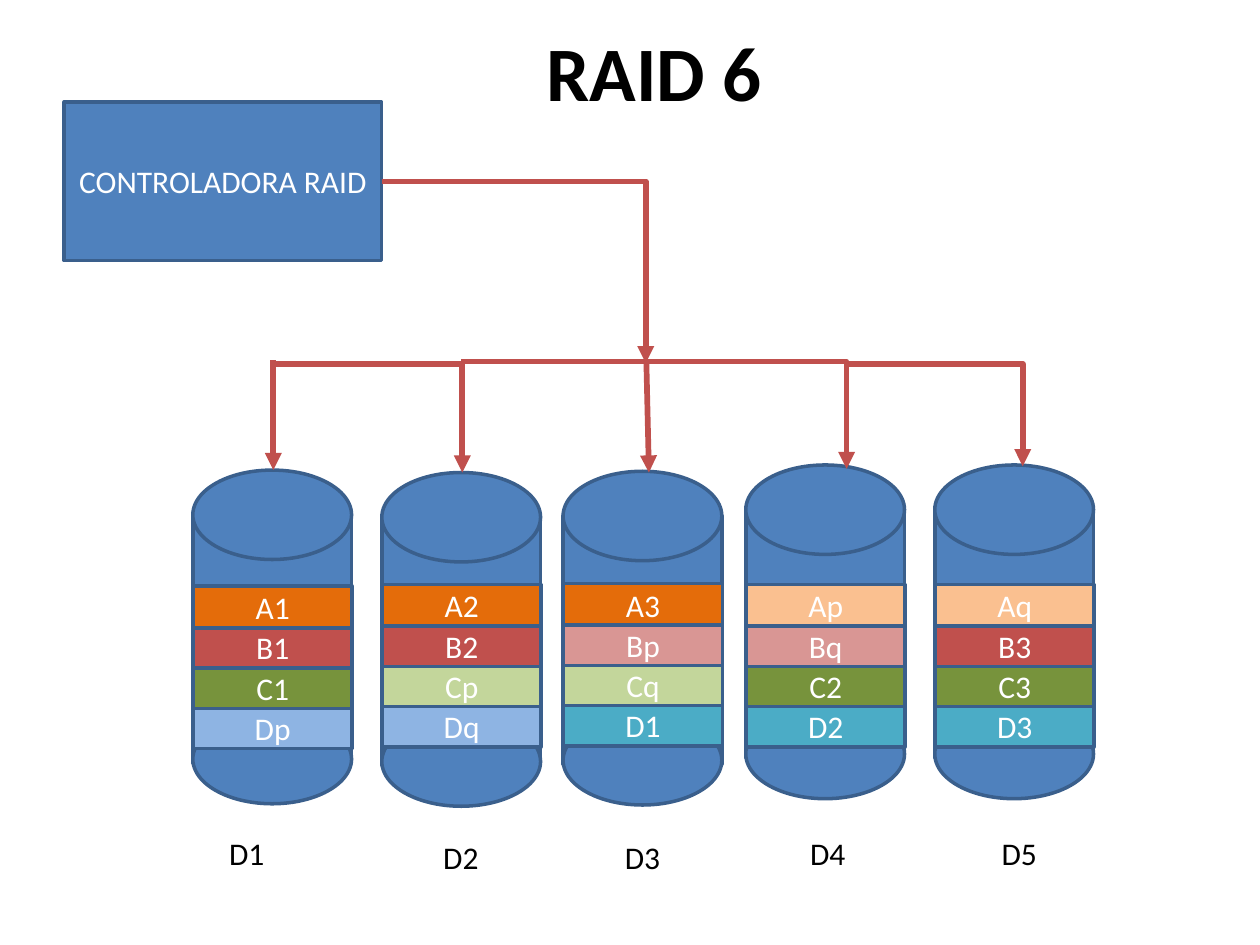
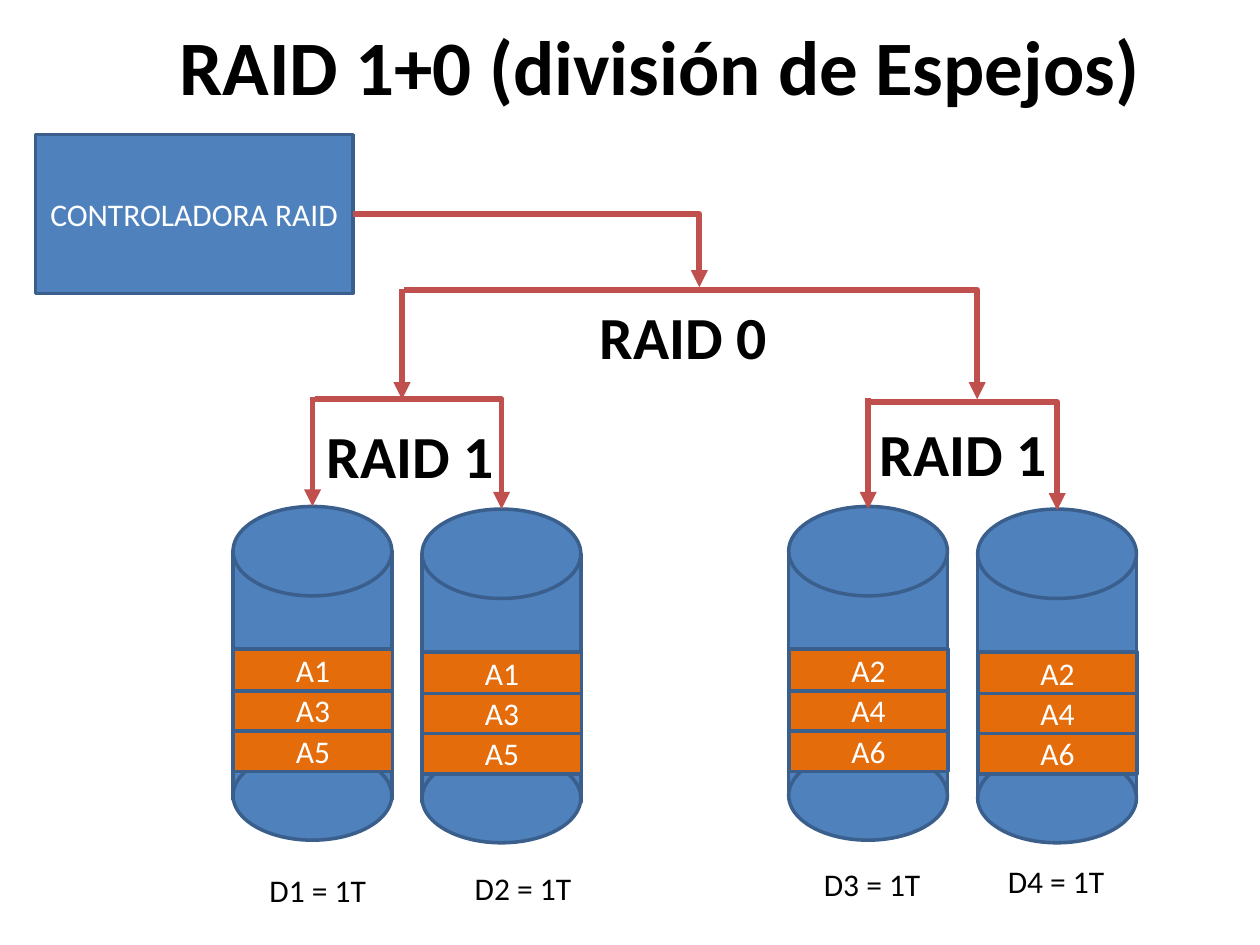
from dataclasses import dataclass
from typing import Any, NamedTuple

from lxml import etree
from pptx import Presentation
from pptx.dml.color import RGBColor
from pptx.enum.shapes import MSO_CONNECTOR, MSO_SHAPE
from pptx.enum.text import MSO_ANCHOR, MSO_AUTO_SIZE, PP_ALIGN
from pptx.oxml.ns import qn
from pptx.util import Pt

RECT, OVAL = MSO_SHAPE.RECTANGLE, MSO_SHAPE.OVAL
LINE, ELBOW = MSO_CONNECTOR.STRAIGHT, MSO_CONNECTOR.ELBOW
MIDDLE, TOP = MSO_ANCHOR.MIDDLE, MSO_ANCHOR.TOP
CENTER, LEFT = PP_ALIGN.CENTER, PP_ALIGN.LEFT
FIT = MSO_AUTO_SIZE.SHAPE_TO_FIT_TEXT
RIGHT_SIDE = 3


# Theme: colours, type and line sizes
@dataclass(frozen=True)
class Theme:
    font: str = "Calibri"
    ink: str = "000000"
    white: str = "FFFFFF"
    blue: str = "4F81BD"
    edge: str = "3A5F8C"
    wire: str = "C0504D"
    title: float = 44
    head: float = 34.1
    text: float = 18
    rim: float = 2
    cable: float = 3.25


THEME = Theme()

# Data and parity colour of each stripe letter
DATA = {"A": "E46C0A", "B": "C0504D", "C": "77933C", "D": "4BACC6"}
PARITY = {"A": "FAC090", "B": "D99694", "C": "C3D69B", "D": "8EB4E3"}

# Disk and stripe sizes
WIDTH, BODY, CAP, DROP = 90.7, 141.8, 51.1, 139.6
BAND, PITCH = 23.8, 23


class Box(NamedTuple):
    left: float
    top: float
    width: float
    height: float


class Label(NamedTuple):
    text: str
    box: Box


class Disk(NamedTuple):
    left: float
    top: float
    first: float  # top of the first stripe
    bands: str
    name: Label


class Wire(NamedTuple):
    x1: float
    y1: float
    x2: float
    y2: float
    kind: Any = ELBOW


class Page(NamedTuple):
    title: Label
    control: Box
    feed: Wire
    disks: list[Disk]
    wires: list[Wire]
    heads: list[Label]


# Drawing helpers
def apply(item: Any, form: dict[str, Any]) -> None:
    for key, value in form.items():
        setattr(item, key, value)


def place(box: Box) -> list[Pt]:
    return [Pt(n) for n in box]


def write(shape: Any, text: str, size: float, color: str, bold: bool = False,
          align: Any = CENTER, anchor: Any = MIDDLE, wrap: bool = True) -> None:
    frame = shape.text_frame
    apply(frame, {"text": text, "word_wrap": wrap, "vertical_anchor": anchor})
    para = frame.paragraphs[0]
    para.alignment = align
    font = para.runs[0].font
    apply(font, {"name": THEME.font, "size": Pt(size), "bold": bold})
    font.color.rgb = RGBColor.from_string(color)


def block(shapes: Any, kind: Any, box: Box, fill: str, text: str = "") -> Any:
    shape = shapes.add_shape(kind, *place(box))
    shape.shadow.inherit = False
    shape.fill.solid()
    shape.fill.fore_color.rgb = RGBColor.from_string(fill)
    shape.line.color.rgb = RGBColor.from_string(THEME.edge)
    shape.line.width = Pt(THEME.rim)
    if text:
        write(shape, text, THEME.text, THEME.white)
    return shape


def link(shapes: Any, wire: Wire) -> Any:
    ends = [Pt(n) for n in wire[:4]]
    line = shapes.add_connector(wire.kind, *ends)
    line.line.color.rgb = RGBColor.from_string(THEME.wire)
    line.line.width = Pt(THEME.cable)
    props = line._element.spPr
    if wire.kind == ELBOW:  # one bend: across, then down
        props.find(qn("a:prstGeom")).set("prst", "bentConnector2")
    etree.SubElement(props.find(qn("a:ln")), qn("a:tailEnd"), type="triangle")
    etree.SubElement(props, qn("a:effectLst"))
    return line


def draw_disk(shapes: Any, disk: Disk) -> None:
    group = shapes.add_group_shape().shapes
    x, y = disk.left, disk.top
    block(group, RECT, Box(x, y + CAP / 2, WIDTH, BODY), THEME.blue)
    for top in (y, y + DROP):
        block(group, OVAL, Box(x, top, WIDTH, CAP), THEME.blue)
    # Lower stripes first, so each one overlaps the next
    for row, text in reversed(list(enumerate(disk.bands.split()))):
        tone = PARITY if text[1] in "pq" else DATA
        spot = Box(x + 0.3, disk.first + row * PITCH, WIDTH, BAND)
        block(group, RECT, spot, tone[text[0]], text)
    tag = shapes.add_textbox(*place(disk.name.box))
    write(tag, disk.name.text, THEME.text, THEME.ink,
          align=LEFT, anchor=TOP, wrap=False)
    tag.text_frame.auto_size = FIT


def draw_page(deck: Any, page: Page) -> None:
    shapes = deck.slides.add_slide(deck.slide_layouts[5]).shapes
    title = shapes.title
    apply(title, dict(zip(Box._fields, place(page.title.box))))
    write(title, page.title.text, THEME.title, THEME.ink, bold=True)
    unit = block(shapes, RECT, page.control, THEME.blue, "CONTROLADORA RAID")
    for disk in page.disks:
        draw_disk(shapes, disk)
    for wire in page.wires:
        link(shapes, wire)
    link(shapes, page.feed).begin_connect(unit, RIGHT_SIDE)
    for head in page.heads:
        box = shapes.add_textbox(*place(head.box))
        write(box, head.text, THEME.head, THEME.ink, bold=True)


# Content of the two slides
def tag(text: str, left: float, top: float, width: float) -> Label:
    return Label(text, Box(left, top, width, 29))


def head(text: str, left: float, top: float) -> Label:
    return Label(text, Box(left, top, 216.7, 40.3))


SIX = Page(
    title=Label("RAID 6", Box(49.7, -4.3, 648, 90)),
    control=Box(36.7, 58.3, 181.4, 90.7),
    feed=Wire(218.1, 103.7, 369, 207.5),
    disks=[
        Disk(110.2, 268.6, 335, "A1 B1 C1 Dp", tag("D1", 123.8, 473, 35.3)),
        Disk(218.2, 270, 334, "A2 B2 Cp Dq", tag("D2", 246.2, 475.2, 35.3)),
        Disk(321.8, 269.3, 333.5, "A3 Bp Cq D1", tag("D3", 350, 475.2, 35.3)),
        Disk(426.2, 265.7, 334, "Ap Bq C2 D2", tag("D4", 455.8, 473, 35.3)),
        Disk(534.2, 265.7, 334, "Aq B3 C3 D3", tag("D5", 565.2, 473, 35.3)),
    ],
    wires=[
        Wire(157.7, 208, 264.2, 270),
        Wire(156.2, 206, 156.2, 268.6, LINE),
        Wire(263.5, 206.6, 483.8, 268),
        Wire(369.4, 208, 370.8, 270, LINE),
        Wire(483.8, 208, 584.4, 266.4),
    ],
    heads=[],
)

TEN = Page(
    title=Label("RAID 1+0 (división de Espejos)", Box(65.5, -7.9, 623.5, 90)),
    control=Box(20.2, 77, 181.4, 90.7),
    feed=Wire(201.6, 122.4, 399.6, 164.2),
    disks=[
        Disk(133.2, 289.4, 371, "A1 A3 A5", tag("D1 = 1T", 146.9, 493.9, 70.6)),
        Disk(241.2, 290.9, 372.5, "A1 A3 A5", tag("D2 = 1T", 264.2, 493.2, 70.6)),
        Disk(450.7, 289.4, 371, "A2 A4 A6", tag("D3 = 1T", 463.7, 491, 70.6)),
        Disk(558.7, 290.9, 372.5, "A2 A4 A6", tag("D4 = 1T", 568.8, 488.9, 70.6)),
    ],
    wires=[
        Wire(180, 228.2, 286.6, 290.9),
        Wire(178.6, 226.8, 178.6, 289.4, LINE),
        Wire(497.5, 229.7, 604.1, 291.6),
        Wire(496.1, 227.5, 496.1, 290.9, LINE),
        Wire(231.1, 165.6, 558.4, 228.2),
        Wire(229.7, 164.9, 229.7, 228.2, LINE),
    ],
    heads=[
        head("RAID 1", 126, 239.8),
        head("RAID 1", 442.1, 238.3),
        head("RAID 0", 282.2, 171.4),
    ],
)


def main() -> None:
    deck = Presentation()
    apply(deck, {"slide_width": Pt(720), "slide_height": Pt(540)})
    for page in (SIX, TEN):
        draw_page(deck, page)
    deck.save("out.pptx")


if __name__ == "__main__":
    main()
